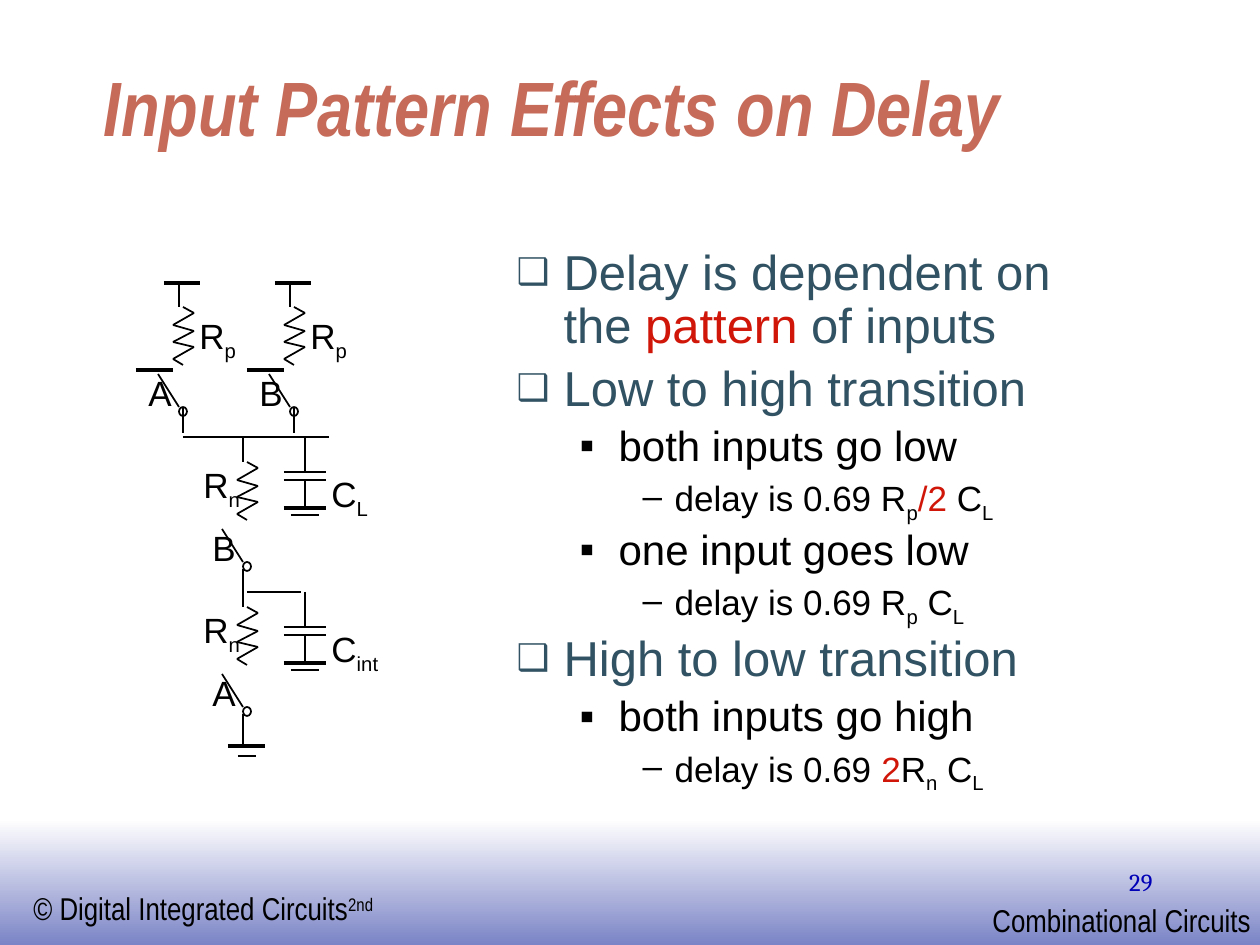
"""Build the slide on input pattern effects on gate delay."""
from lxml import etree
from pptx import Presentation
from pptx import util as u
from pptx.dml.color import RGBColor
from pptx.enum import shapes, text
from pptx.oxml.ns import qn

PX = 914400 / 126
BLACK = RGBColor(0, 0, 0)
WHITE = RGBColor(255, 255, 255)
BAND = RGBColor(0x7B, 0x84, 0xC6)
BLUE = RGBColor(0, 0, 0xB6)
CORAL = RGBColor(0xC6, 0x6B, 0x5A)
TEAL = RGBColor(0x31, 0x52, 0x63)
RED = RGBColor(0xD0, 0x16, 0x08)

SUB = {"base": -25000}
SUP = {"base": 30000}
HOT = {"tint": RED}
THIN, THICK = 1, 2.25

TITLE = "Input Pattern Effects on Delay"
BODY = [
    (0, ["Delay is dependent on the", (" pattern", HOT), " of inputs"]),
    (0, ["Low to high transition"]),
    (1, ["both inputs go low"]),
    (2, ["delay is 0.69 R", ("p", SUB), ("/2", HOT), " C", ("L", SUB)]),
    (1, ["one input goes low"]),
    (2, ["delay is 0.69 R", ("p", SUB), " C", ("L", SUB)]),
    (0, ["High to low transition"]),
    (1, ["both inputs go high"]),
    (2, ["delay is 0.69 ", ("2", HOT), "R", ("n", SUB), " C", ("L", SUB)]),
]
LEVELS = [
    {"size": 28, "tint": TEAL, "mark": "❑", "scale": 75, "left": 47, "hang": 47},
    {"size": 24, "tint": BLACK, "mark": "▪", "scale": 100, "left": 102, "hang": 39},
    {"size": 20, "tint": BLACK, "mark": "–", "scale": 100, "left": 158, "hang": 32},
]
FOOT = [
    (["© Digital Integrated Circuits", ("2nd", SUP)], (21, 883, 369, 50)),
    (["Combinational Circuits"], (980, 895, 284, 50)),
]

PULLUPS = [("A", 179, 307), ("B", 290, 307)]
PULLDOWNS = [("B", 243, 462), ("A", 243, 607)]
CAPS = [("L", 305, 437, 63), ("int", 305, 592, 74)]
WIRES = [
    (183, 437, 329, 437, THIN),
    (247, 592, 301, 592, THIN),
    (228, 746, 265, 746, THICK),
    (238, 756, 256, 756, THIN),
]
ZIGZAG = [(4, 0), (15, 6), (-6, 18), (15, 24), (-6, 35), (15, 40), (-6, 52), (4, 58)]
SWITCH = [(*a, *b, THIN) for a, b in zip(ZIGZAG, ZIGZAG[1:])] + [
    (-21, 67, 0, 100, THIN),
    (0, 0, 0, -25, THIN),
]
SUPPLY = [(-43, 63, -6, 63, THICK), (4, 101, 4, 126, THIN), (-15, -24, 21, -24, THICK)]
DRAIN = [(0, 107, 0, 140, THIN)]
PLATES = [
    (0, 0, 0, 35, THIN),
    (-21, 35, 21, 35, THIN),
    (-21, 43, 21, 43, THIN),
    (0, 43, 0, 71, THIN),
    (-21, 71, 21, 71, THICK),
    (-14, 78, 14, 78, THIN),
]


def px(*nums):
    return [u.Emu(round(n * PX)) for n in nums]


def write(para, runs, size=20, tint=BLACK, face="Arial", bold=False, slant=False, side=text.PP_ALIGN.LEFT):
    para.alignment = side
    for item in runs:
        word, own = (item, {}) if isinstance(item, str) else item
        run = para.add_run()
        run.text = word
        font = run.font
        font.name, font.size = face, u.Pt(size)
        font.bold, font.italic = bold, slant
        font.color.rgb = own.get("tint", tint)
        if "base" in own:
            font._element.set("baseline", str(own["base"]))


def label(slide, runs, area, wrap=False, **form):
    frame = slide.shapes.add_textbox(*px(*area)).text_frame
    frame.word_wrap = wrap
    write(frame.paragraphs[0], runs, **form)


def draw(slide, lines, x=0, y=0):
    for ax, ay, bx, by, width in lines:
        ends = px(x + ax, y + ay, x + bx, y + by)
        wire = slide.shapes.add_connector(shapes.MSO_CONNECTOR.STRAIGHT, *ends)
        wire.line.color.rgb = BLACK
        wire.line.width = u.Pt(width)
        etree.SubElement(wire._element.spPr, qn("a:effectLst"))


def switch(slide, gate, x, y, kind, shift, extra):
    draw(slide, SWITCH + extra, x, y)
    ring = slide.shapes.add_shape(shapes.MSO_SHAPE.OVAL, *px(x, y + 100, 8, 9))
    ring.shadow.inherit = False
    ring.fill.background()
    ring.line.color.rgb = BLACK
    ring.line.width = u.Pt(THIN)
    label(slide, [gate], (x - 43, y + 58, 33, 55), wrap=True)
    label(slide, ["R", (kind, SUB)], (x + shift[0], y + shift[1], 63, 54))


def bullet(para, tint, mark, scale, left, hang):
    prop = para._p.get_or_add_pPr()
    prop.set("marL", str(px(left)[0]))
    prop.set("indent", str(px(-hang)[0]))
    paint = etree.SubElement(prop, qn("a:buClr"))
    etree.SubElement(paint, qn("a:srgbClr"), val=str(tint))
    etree.SubElement(prop, qn("a:buSzPct"), val=str(scale * 1000))
    etree.SubElement(prop, qn("a:buChar"), char=mark)


def place(holder, area, anchor):
    holder.left, holder.top, holder.width, holder.height = px(*area)
    frame = holder.text_frame
    frame.auto_size = text.MSO_AUTO_SIZE.NONE
    frame.word_wrap = True
    frame.vertical_anchor = anchor
    return frame


def main():
    deck = Presentation()
    deck.slide_width, deck.slide_height = px(1260, 945)
    slide = deck.slides.add_slide(deck.slide_layouts[1])

    band = slide.shapes.add_shape(shapes.MSO_SHAPE.RECTANGLE, *px(0, 819, 1260, 126))
    band.shadow.inherit = False
    band.line.fill.background()
    band.fill.gradient()
    band.fill.gradient_angle = 270
    for stop, tint, spot in zip(band.fill.gradient_stops, (WHITE, BAND), (0, 1)):
        stop.color.rgb = tint
        stop.position = spot
    for runs, area in FOOT:
        label(slide, runs, area, size=18, face="Arial Narrow")
    label(slide, ["29"], (903, 861, 262, 63), wrap=True, size=14, tint=BLUE,
          face="Cambria", side=text.PP_ALIGN.RIGHT)

    frame = place(slide.shapes.title, (91, 60, 1071, 98), text.MSO_ANCHOR.BOTTOM)
    write(frame.paragraphs[0], [TITLE], size=44, tint=CORAL, face="Arial Narrow", bold=True, slant=True)

    frame = place(slide.placeholders[1], (504, 242, 620, 567), text.MSO_ANCHOR.TOP)
    for num, (level, runs) in enumerate(BODY):
        para = frame.add_paragraph() if num else frame.paragraphs[0]
        form = dict(LEVELS[level])
        size = form.pop("size")
        para.level = level
        bullet(para, **form)
        para.line_spacing = 0.9
        para.space_before = u.Pt(size * 0.2 if num else 0)
        write(para, runs, size=size, tint=form["tint"])

    for gate, x, y in PULLUPS:
        switch(slide, gate, x, y, "p", (8, 1), SUPPLY)
    for gate, x, y in PULLDOWNS:
        switch(slide, gate, x, y, "n", (-52, -5), DRAIN)
    for name, x, y, width in CAPS:
        draw(slide, PLATES, x, y)
        label(slide, ["C", (name, SUB)], (x + 14, y + 29, width, 54))
    draw(slide, WIRES)
    deck.save("out.pptx")


if __name__ == "__main__":
    main()
